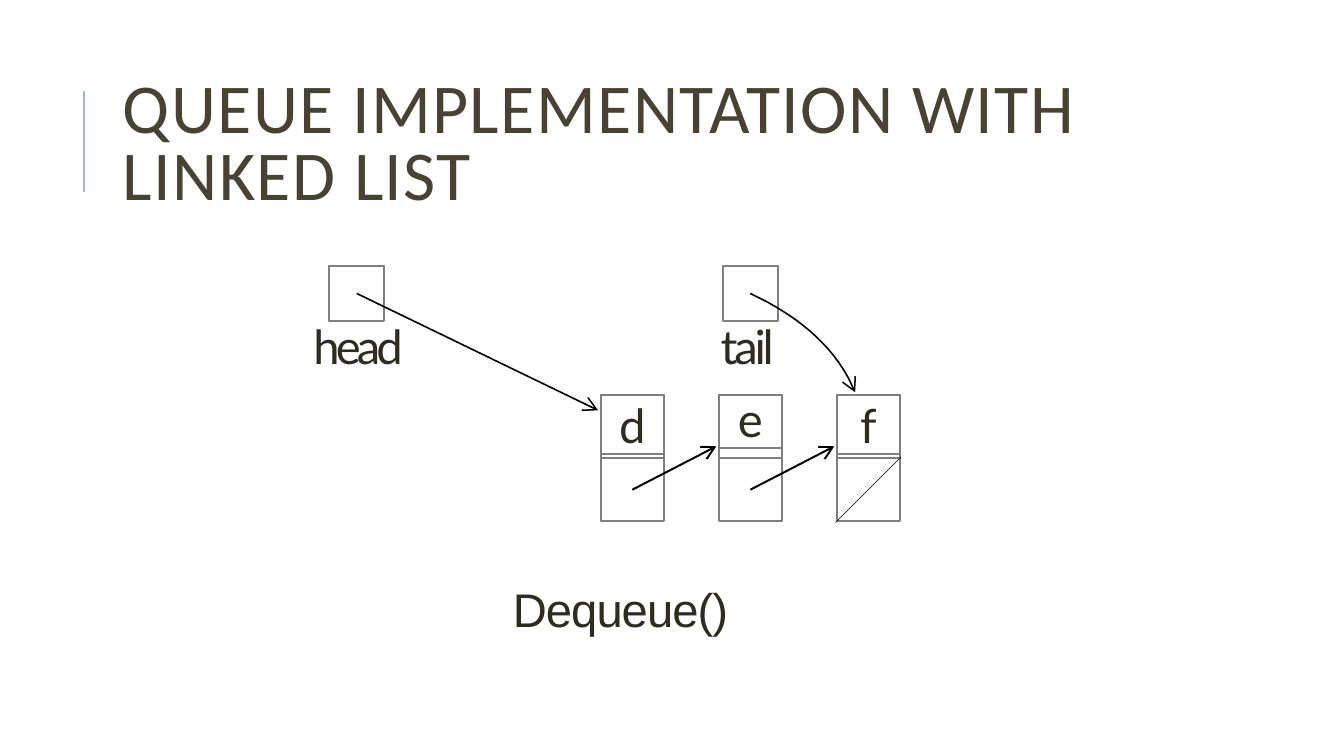
from lxml.etree import SubElement
from pptx import Presentation
from pptx.dml.color import RGBColor
from pptx.enum.shapes import MSO_CONNECTOR as Connector, MSO_SHAPE as Shape
from pptx.enum.text import MSO_ANCHOR as Anchor, MSO_AUTO_SIZE as AutoSize, PP_ALIGN as Align
from pptx.oxml.ns import qn
from pptx.util import Pt

WHITE = RGBColor(0xFF, 0xFF, 0xFF)
BLACK = RGBColor(0x00, 0x00, 0x00)
GREY = RGBColor(0x7F, 0x7F, 0x7F)
INK = RGBColor(0x2E, 0x2B, 0x21)
TITLE_COLOR = RGBColor(0x47, 0x42, 0x33)
ACCENT = RGBColor(0x9C, 0xBE, 0xBD)

TEXT_SIZE = 33.7
CELL = 45
POINTER = 39.3
NODE_PITCH = 84.3
LINK_HEIGHT = 36.5


def format_text(text_frame, text, font_name, size, color, tracking):
    text_frame.text = text
    text_frame.word_wrap = True
    text_frame.auto_size = AutoSize.NONE
    paragraph = text_frame.paragraphs[0]
    run = paragraph.runs[0]
    run.font.name = font_name
    run.font.size = Pt(size)
    run.font.color.rgb = color
    run._r.get_or_add_rPr().set("spc", str(round(tracking * 100)))
    return paragraph


def set_margins(text_frame, left, top):
    text_frame.margin_left, text_frame.margin_top = Pt(left), Pt(top)
    text_frame.margin_right = text_frame.margin_bottom = 0


def add_label(slide, left, top, width, height, text, font_name, tracking, inset):
    text_frame = slide.shapes.add_textbox(Pt(left), Pt(top), Pt(width), Pt(height)).text_frame
    set_margins(text_frame, 2, inset)
    return format_text(text_frame, text, font_name, TEXT_SIZE, INK, tracking)


def add_box(slide, left, top, width, height):
    box = slide.shapes.add_shape(Shape.RECTANGLE, Pt(left), Pt(top), Pt(width), Pt(height))
    box.shadow.inherit = False
    box.fill.background()
    box.line.color.rgb = GREY
    box.line.width = Pt(1.42)
    return box


def add_arrowhead(shape):
    SubElement(shape.line._get_or_add_ln(), qn("a:tailEnd"), type="arrow", w="lg", len="lg")


def add_line(slide, start, end, color, width):
    line = slide.shapes.add_connector(Connector.STRAIGHT, *map(Pt, start + end))
    line.line.color.rgb = color
    line.line.width = Pt(width)
    SubElement(line._element.spPr, qn("a:effectLst"))
    return line


def add_curved_arrow(slide, start, control, end, steps=16):
    points = []
    for step in range(steps + 1):
        t = step / steps
        points.append(tuple(
            Pt((1 - t) ** 2 * a + 2 * t * (1 - t) * b + t ** 2 * c)
            for a, b, c in zip(start, control, end)))
    builder = slide.shapes.build_freeform(*points[0], scale=1.0)
    builder.add_line_segments(points[1:], close=False)
    curve = builder.convert_to_shape()
    curve.shadow.inherit = False
    curve.fill.background()
    curve.line.color.rgb = BLACK
    curve.line.width = Pt(1.13)
    add_arrowhead(curve)


def add_title(slide, left, top, width, height):
    title = slide.shapes.title
    title.left, title.top, title.width, title.height = map(Pt, (left, top, width, height))
    title.text_frame.vertical_anchor = Anchor.MIDDLE
    paragraph = format_text(title.text_frame, "QUEUE IMPLEMENTATION WITH LINKED LIST",
                            "Calibri", 50, TITLE_COLOR, 1)
    paragraph.alignment = Align.LEFT
    paragraph.line_spacing = 0.8
    bar_left = left - 20.6
    add_line(slide, (bar_left, top + 91), (bar_left, top + 19), ACCENT, 1.5)


def add_pointer(slide, left, top, name, label_left, label_width, tracking):
    add_box(slide, left, top, POINTER, POINTER)
    paragraph = add_label(slide, label_left, top + 34.8, label_width, 43, name, "Lato", tracking, 2)
    paragraph.space_before = Pt(2.4)
    return left + POINTER / 2, top + POINTER / 2


def add_node(slide, left, top, letter, letter_height, tracking, line_spacing):
    for row in range(2):
        add_box(slide, left, top + row * CELL, CELL, CELL)
    text_frame = add_box(slide, left, top, CELL, letter_height).text_frame
    text_frame.vertical_anchor = Anchor.TOP
    set_margins(text_frame, 0, 0 if line_spacing else 1)
    paragraph = format_text(text_frame, letter, "Lato", TEXT_SIZE, INK, tracking)
    paragraph.alignment = Align.CENTER
    if line_spacing:
        paragraph.line_spacing = Pt(line_spacing)
    else:
        paragraph.space_before = Pt(1)


def add_linked_list(slide, left, top):
    nodes = [("d", 42, -2.3, None), ("e", 37.5, -4.2, 36.6), ("f", 42, -2.7, None)]
    for index, node in enumerate(nodes):
        node_left = left + index * NODE_PITCH
        add_node(slide, node_left, top, *node)
        if index:
            start = (node_left - NODE_PITCH + CELL / 2, top + 1.5 * CELL)
            link = add_line(slide, start, (node_left - 1.8, top + LINK_HEIGHT), BLACK, 1.42)
            add_arrowhead(link)
    last = left + (len(nodes) - 1) * NODE_PITCH
    add_line(slide, (last - 1, top + 2 * CELL + 1), (last + CELL + 1, top + CELL - 1), BLACK, 0.4)


def add_queue_diagram(slide, left, top):
    list_left, list_top = left + 194, top + 92.3
    head = add_pointer(slide, left, top, "head", left - 13.3, 67, -2.8)
    tail = add_pointer(slide, left + 281, top, "tail", left + 277.5, 46, -2.3)
    add_linked_list(slide, list_left, list_top)
    add_arrowhead(add_line(slide, head, (list_left - 2, list_top + 10.8), BLACK, 1.13))
    add_curved_arrow(slide, tail, (tail[0] + 57, tail[1] + 26.5), (tail[0] + 75, list_top - 2))


def main():
    presentation = Presentation()
    presentation.slide_width, presentation.slide_height = Pt(960), Pt(540)
    slide = presentation.slides.add_slide(presentation.slide_layouts[5])
    slide.background.fill.solid()
    slide.background.fill.fore_color.rgb = WHITE
    add_title(slide, 80.6, 46, 765.4, 118)
    add_queue_diagram(slide, 235.2, 190)
    operation = add_label(slide, 364.3, 417.6, 157.7, 37.4, "Dequeue()", "Arial", -0.7, 0)
    operation.line_spacing = Pt(37.1)
    presentation.save("out.pptx")


if __name__ == "__main__":
    main()
